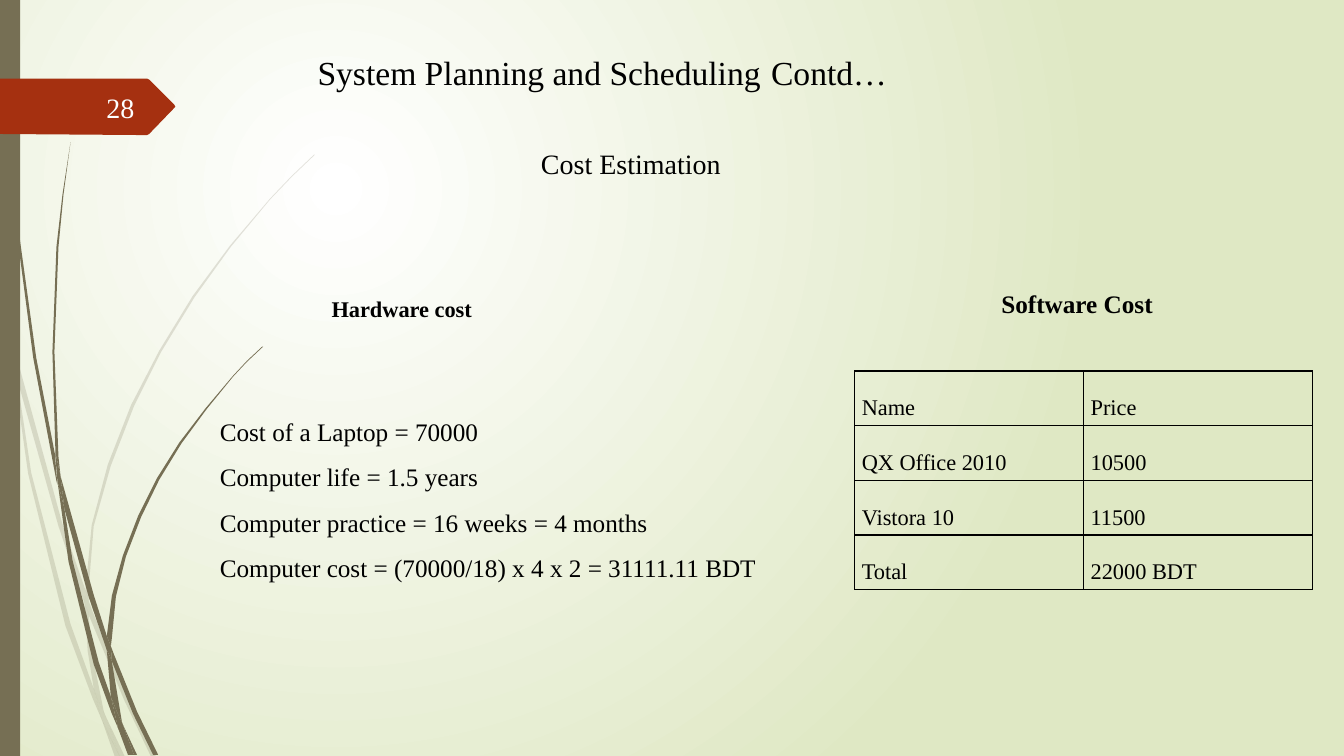
"""Build the cost estimation slide with its hardware list and software price table."""
from lxml import etree
from pptx import Presentation
from pptx.dml.color import RGBColor
from pptx.enum import shapes, text
from pptx.oxml import ns
from pptx.util import Pt

FACE = "Times New Roman"
INK, OLIVE, RUST = "000000", "766F54", "A53010"
LEFT, CENTER, RIGHT, JUSTIFY = (text.PP_ALIGN.LEFT, text.PP_ALIGN.CENTER,
                                text.PP_ALIGN.RIGHT, text.PP_ALIGN.JUSTIFY)
hue = RGBColor.from_string


def write(frame, lines, size, align, bold=False, spacing=1.0, color=INK):
    frame.word_wrap = True
    for number, line in enumerate(lines):
        paragraph = frame.paragraphs[0] if number == 0 else frame.add_paragraph()
        paragraph.alignment = align
        paragraph.line_spacing = spacing
        paragraph.space_before = Pt(0)
        run = paragraph.add_run()
        run.text = line
        run.font.name = FACE
        run.font.size = Pt(size)
        run.font.bold = bold
        run.font.color.rgb = hue(color)


def outline(points, color, opacity=100):
    corners = [(x * Pt(0.72), y * Pt(0.72)) for x, y in points]
    builder = slide.shapes.build_freeform(*corners[0], scale=1.0)
    builder.add_line_segments(corners[1:], close=True)
    shape = builder.convert_to_shape()
    shape.shadow.inherit = False
    shape.fill.solid()
    shape.fill.fore_color.rgb = hue(color)
    shape.line.fill.background()
    if opacity < 100:
        tint = shape._element.spPr.find(".//" + ns.qn("a:srgbClr"))
        etree.SubElement(tint, ns.qn("a:alpha"), val=str(opacity * 1000))


deck = Presentation()
deck.slide_width, deck.slide_height = Pt(960), Pt(540)
slide = deck.slides.add_slide(deck.slide_layouts[1])

backdrop = slide.background.fill
backdrop.gradient()
for stop, color in zip(backdrop.gradient_stops, ("FFFFFF", "DFE8C4")):
    stop.color.rgb = hue(color)
gradient = slide._element.find(".//" + ns.qn("a:gradFill"))
gradient.remove(gradient.find(ns.qn("a:lin")))
glow = etree.SubElement(gradient, ns.qn("a:path"), path="circle")
etree.SubElement(glow, ns.qn("a:fillToRect"), l="50000", t="50000", r="100000", b="100000")

# Stem outlines are listed as x y pairs in hundredths of an inch.
pale_stems = [
    "11 350 9 322 0 282 0 299 10 344",
    "58 522 84 599 85 586 62 520 14 345 17 376",
    "92 607 88 596 88 610 123 694 150 751 155 751 127 692",
    "119 751 124 751 105 711",
    "93 683 70 619 31 469 17 376 11 350 28 470 65 621 92 693 101 714 99 707",
    "84 599 87 646 93 683 96 692 105 711 103 706 91 646 88 610 88 608",
    "88 584 93 522 110 462 133 403 160 349 193 295 229 245 268 198 290 175 312 154 312 153 "
    "289 175 268 197 228 244 191 294 158 348 130 402 107 461 91 521 85 584 85 586 88 596",
    "101 714 114 751 119 751",
    "88 608 88 610 88 596 85 586 84 599",
    "96 692 93 683 99 707 101 714 119 751 105 711",
]
dark_stems = [
    "7 110 17 233 33 355 56 477 57 481 55 457 55 453 36 355 19 232 8 109 5 48 4 0 3 0 4 48",
    "88 592 106 645 106 633 106 631 93 590 60 472 64 505",
    "113 649 110 641 111 656 132 708 152 749 157 749 136 706",
    "110 691 98 657 72 556 64 505 57 477 68 557 93 659 111 708 117 722 116 717",
    "60 472 58 453 54 349 58 245 63 193 70 141 62 193 56 245 52 349 55 449",
    "133 749 136 749 122 719",
    "57 477 64 505 60 472 55 449 55 453",
    "111 633 115 592 125 552 140 513 158 476 180 440 205 406 231 374 245 359 261 344 260 344 "
    "245 358 231 373 204 405 178 439 156 474 137 512 122 551 111 591 106 631 110 641",
    "117 722 127 749 131 749",
    "106 645 110 691 116 706 122 719 121 716 111 656 109 651",
    "106 645 109 651 111 656 110 641 106 631 106 633",
    "116 706 110 691 116 717 117 722 130 749 133 749 122 719",
]
for stems, opacity in ((pale_stems, 20), (dark_stems, 100)):
    for stem in stems:
        values = [int(value) for value in stem.split()]
        outline(list(zip(values[::2], values[1::2])), OLIVE, opacity)

edge = slide.shapes.add_shape(shapes.MSO_SHAPE.RECTANGLE, 0, 0, Pt(14.4), Pt(540))
edge.shadow.inherit = False
edge.fill.solid()
edge.fill.fore_color.rgb = hue(OLIVE)
edge.line.fill.background()
outline([(174, 106), (148, 133), (146, 134), (136, 134), (0, 133),
         (0, 78), (146, 78), (148, 79), (173, 104)], RUST)

heading, hardware = slide.placeholders
for holder, box in ((heading, (219.6, 33.1, 489.6, 36)),
                    (hardware, (149.8, 283, 424, 138.2))):
    holder.left, holder.top, holder.width, holder.height = map(Pt, box)
    holder.text_frame.auto_size = text.MSO_AUTO_SIZE.NONE
    holder.text_frame.vertical_anchor = text.MSO_ANCHOR.TOP
write(heading.text_frame, ["System Planning and Scheduling\tContd…"], 24, LEFT)
write(hardware.text_frame, [
    "Cost of a Laptop = 70000",
    "Computer life = 1.5 years",
    "Computer practice = 16 weeks = 4 months",
    "Computer cost = (70000/18) x 4 x 2 = 31111.11 BDT",
], 18, LEFT, spacing=1.5)
for paragraph in hardware.text_frame.paragraphs:
    properties = paragraph._p.get_or_add_pPr()
    properties.set("marL", "0")
    properties.set("indent", "0")
    etree.SubElement(properties, ns.qn("a:buNone"))

labels = [
    ("28", (41.8, 61.9, 61.2, 28.8), 20, RIGHT, False, "FEFFFF"),
    ("Cost Estimation", (265.7, 100.8, 370, 31.7), 20, CENTER, False, INK),
    ("Software Cost", (643.7, 202.3, 251.3, 28.8), 18, CENTER, True, INK),
    ("Hardware cost", (149.8, 207.4, 274.3, 26.6), 16, CENTER, True, INK),
]
for label, box, size, align, bold, color in labels:
    frame = slide.shapes.add_textbox(*map(Pt, box)).text_frame
    frame.vertical_anchor = text.MSO_ANCHOR.MIDDLE
    write(frame, [label], size, align, bold, color=color)

software = [("Name", "Price"), ("QX Office 2010", "10500"),
            ("Vistora 10", "11500"), ("Total", "22000 BDT")]
prices = slide.shapes.add_table(4, 2, Pt(610.6), Pt(265), Pt(326.9), Pt(156.2)).table
prices.first_row = prices.horz_banding = False
for row, entries in enumerate(software):
    for column, entry in enumerate(entries):
        cell = prices.cell(row, column)
        cell.margin_left = cell.margin_right = Pt(5)
        cell.margin_top = cell.margin_bottom = 0
        write(cell.text_frame, [entry], 16, JUSTIFY, spacing=2.0)
        for side in ("a:lnL", "a:lnR", "a:lnT", "a:lnB"):
            border = etree.SubElement(cell._tc.get_or_add_tcPr(), ns.qn(side), w=str(Pt(1)))
            ink = etree.SubElement(border, ns.qn("a:solidFill"))
            etree.SubElement(ink, ns.qn("a:srgbClr"), val=INK)
        cell.fill.background()

deck.save("out.pptx")
